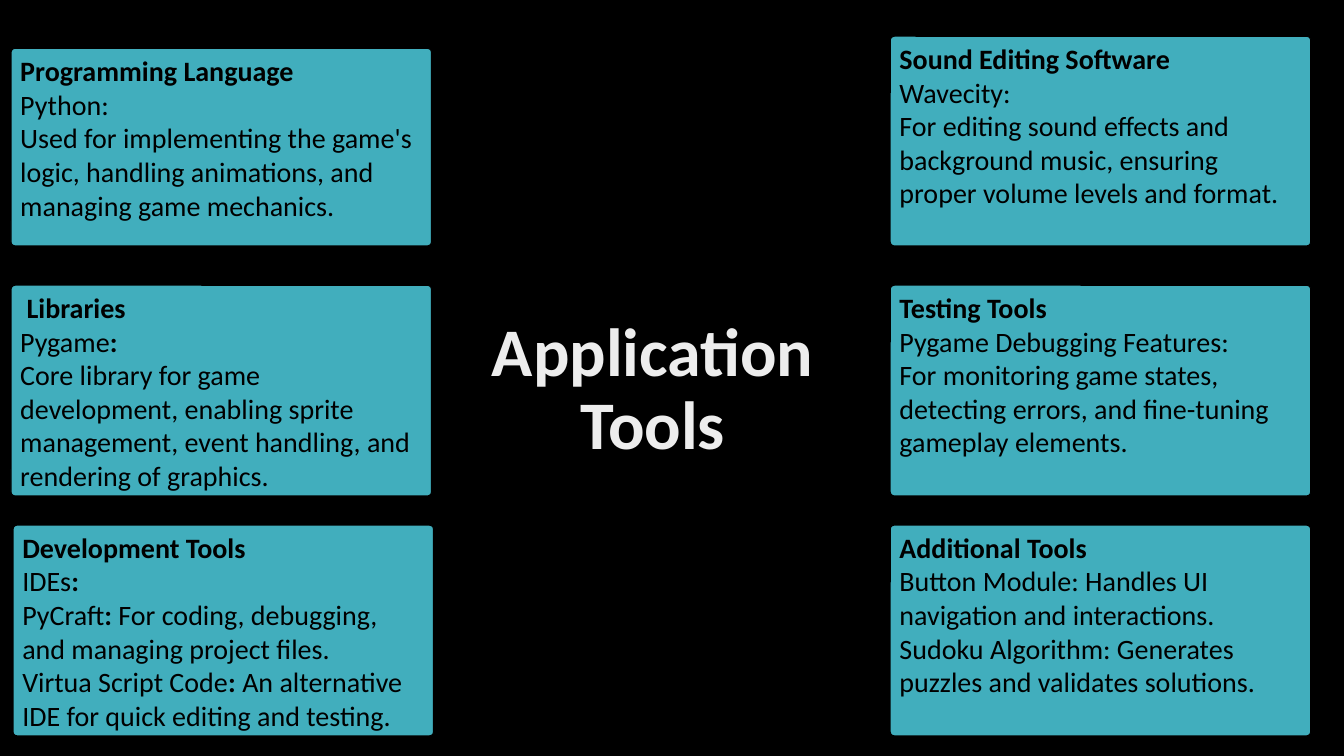
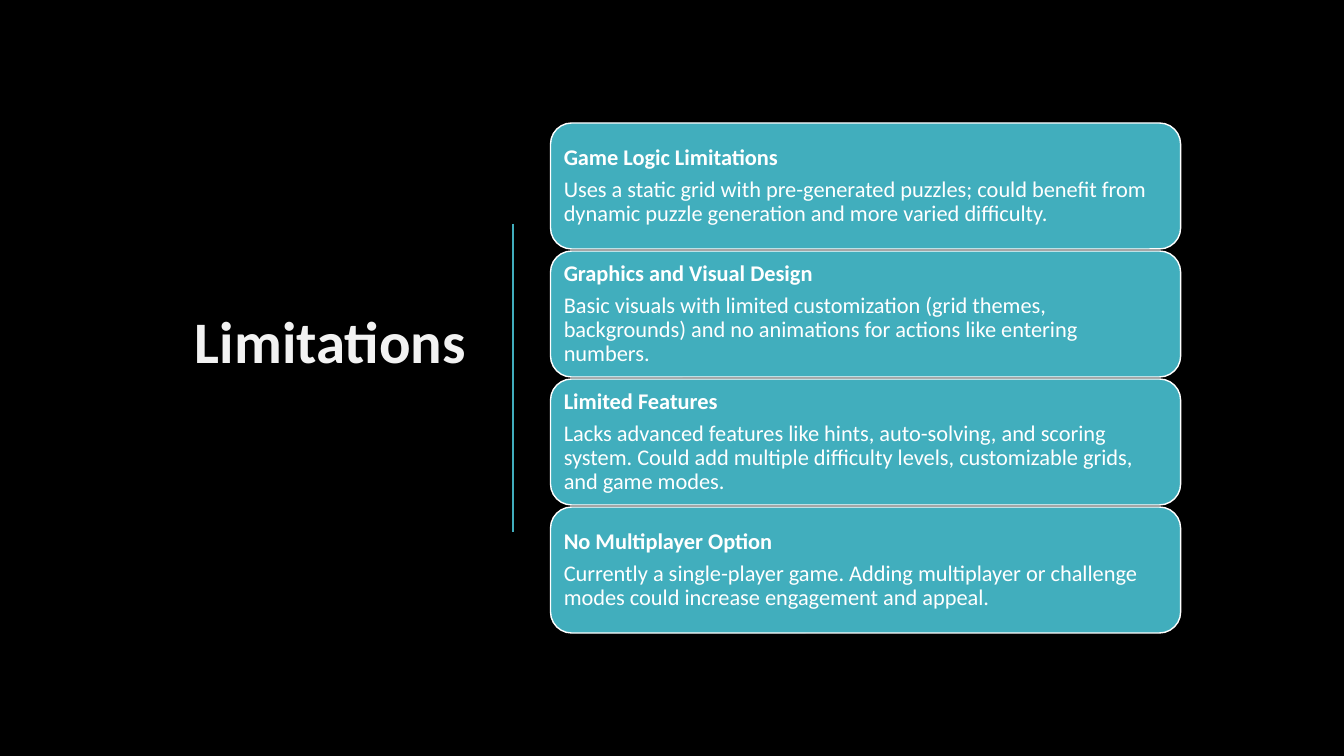
"""Build two slides: application tools and limitations of a puzzle game."""
from lxml import etree
from pptx import Presentation
from pptx.dml.color import RGBColor
from pptx.enum.shapes import MSO_CONNECTOR, MSO_SHAPE
from pptx.enum.text import MSO_ANCHOR, PP_ALIGN
from pptx.oxml.ns import qn
from pptx.util import Inches, Pt

ROUNDED, STRAIGHT = MSO_SHAPE.ROUNDED_RECTANGLE, MSO_CONNECTOR.STRAIGHT
TOP, MIDDLE = MSO_ANCHOR.TOP, MSO_ANCHOR.MIDDLE
LEFT, CENTER, RIGHT = PP_ALIGN.LEFT, PP_ALIGN.CENTER, PP_ALIGN.RIGHT
FONT = "Calibri"
COLORS = {k: RGBColor.from_string(v) for k, v in {
    "black": "000000", "white": "FFFFFF", "teal": "41AEBD",
    "tools_title": "EDEDED", "limits_title": "F2F2F2"}.items()}


def write(sp, paragraphs, size, color, align=LEFT, anchor=TOP, spacing=1.0, after=0):
    tf = sp.text_frame
    tf.word_wrap = True
    tf.vertical_anchor = anchor
    for i, runs in enumerate(paragraphs):
        p = tf.paragraphs[0] if i == 0 else tf.add_paragraph()
        p.alignment = align
        p.line_spacing = spacing
        p.space_after = Pt(after)
        for text, bold in runs:
            r = p.add_run()
            r.text = text
            r.font.name = FONT
            r.font.size = Pt(size)
            r.font.bold = bold
            r.font.color.rgb = COLORS[color]


def add_card(s, x, y, w, h, radius, line, line_width):
    sp = s.shapes.add_shape(ROUNDED, Inches(x), Inches(y), Inches(w), Inches(h))
    sp.adjustments[0] = radius / min(w, h)
    sp.shadow.inherit = False
    sp.fill.solid()
    sp.fill.fore_color.rgb = COLORS["teal"]
    sp.line.color.rgb = COLORS[line]
    sp.line.width = Pt(line_width)
    return sp


prs = Presentation()
prs.slide_width, prs.slide_height = Inches(13.33), Inches(7.5)

titles = [
    (["Application", "Tools"], 48.6, "tools_title", CENTER, (4.06, 3.48, 4.83, 0.8)),
    (["Limitations"], 42, "limits_title", RIGHT, (0.92, 0.89, 3.8, 5.06)),
]
slides = []
for lines, size, color, align, box in titles:
    s = prs.slides.add_slide(prs.slide_layouts[6])
    s.background.fill.solid()
    s.background.fill.fore_color.rgb = COLORS["black"]
    sp = s.shapes.add_textbox(*map(Inches, box))
    write(sp, [[(text, True)] for text in lines], size, color, align, MIDDLE, 0.9)
    slides.append(s)
tools, limits = slides

tool_cards = [
    (0.11, 0.48, 1.96, "Programming Language", [
        [("Python:", False)],
        [("Used for implementing the game's logic, handling animations, "
          "and managing game mechanics.", False)]]),
    (0.11, 2.83, 2.09, " Libraries", [
        [("Pygame", False), (":", True)],
        [("Core library for game development, enabling sprite management, "
          "event handling, and rendering of graphics.", False)]]),
    (0.13, 5.21, 2.09, "Development Tools", [
        [("IDEs", False), (":", True)],
        [("PyCraft", False), (": ", True),
         ("For coding, debugging, and managing project files.", False)],
        [("Virtua Script Code", False), (": ", True),
         ("An alternative IDE for quick editing and testing.", False)]]),
    (8.83, 0.36, 2.08, "Sound Editing Software", [
        [("Wavecity:", False)],
        [("For editing sound effects and background music, ensuring "
          "proper volume levels and format.", False)]]),
    (8.83, 2.83, 2.09, "Testing Tools", [
        [("Pygame Debugging Features:", False)],
        [("For monitoring game states, detecting errors, and fine-tuning "
          "gameplay elements.", False)]]),
    (8.83, 5.21, 2.09, "Additional Tools", [
        [("Button Module: Handles UI navigation and interactions.", False)],
        [("Sudoku Algorithm: Generates puzzles and validates solutions.", False)]]),
]
for x, y, h, heading, body in tool_cards:
    sp = add_card(tools, x, y, 4.17, h, 0.04, "black", 0.75)
    tf = sp.text_frame
    tf.margin_left = tf.margin_right = Inches(0.08)
    tf.margin_top = tf.margin_bottom = Inches(0.04)
    write(sp, [[(heading, True)]] + body, 20, "black")

divider = limits.shapes.add_connector(
    STRAIGHT, Inches(5.09), Inches(2.22), Inches(5.09), Inches(5.28))
divider.line.color.rgb = COLORS["teal"]
divider.line.width = Pt(1)
etree.SubElement(divider.element.spPr, qn("a:effectLst"))

limit_cards = [
    ("Game Logic Limitations",
     "Uses a static grid with pre-generated puzzles; could benefit from dynamic "
     "puzzle generation and more varied difficulty."),
    ("Graphics and Visual Design",
     "Basic visuals with limited customization (grid themes, backgrounds) and no "
     "animations for actions like entering numbers."),
    ("Limited Features",
     "Lacks advanced features like hints, auto-solving, and scoring system. Could "
     "add multiple difficulty levels, customizable grids, and game modes."),
    ("No Multiplayer Option",
     "Currently a single-player game. Adding multiplayer or challenge modes could "
     "increase engagement and appeal."),
]
for i, (heading, body) in enumerate(limit_cards):
    sp = add_card(limits, 5.46, 1.22 + 1.27 * i, 6.25, 1.25, 0.21, "white", 1)
    tf = sp.text_frame
    tf.margin_left = tf.margin_right = Inches(0.07)
    tf.margin_top = tf.margin_bottom = 0
    write(sp, [[(heading, True)], [(body, False)]], 16, "white",
          anchor=MIDDLE, spacing=0.9, after=5.6)

prs.save("out.pptx")
